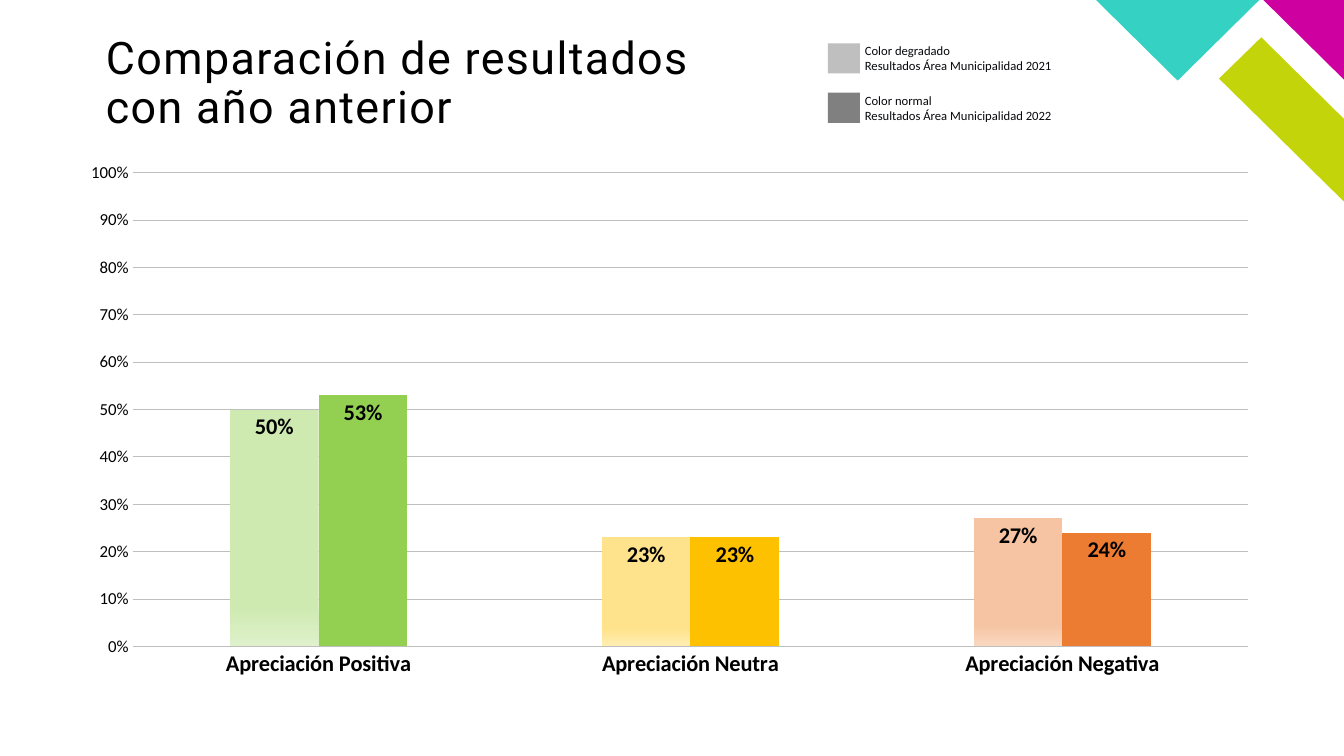
from lxml import etree
from pptx import Presentation
from pptx.chart.data import CategoryChartData
from pptx.dml.color import RGBColor
from pptx.enum.chart import XL_CHART_TYPE, XL_LABEL_POSITION, XL_TICK_MARK
from pptx.enum.shapes import MSO_SHAPE
from pptx.enum.text import MSO_ANCHOR, MSO_AUTO_SIZE
from pptx.oxml.ns import qn
from pptx.util import Inches, Pt

COLUMNS = XL_CHART_TYPE.COLUMN_CLUSTERED
INSIDE_END = XL_LABEL_POSITION.INSIDE_END
NO_TICK = XL_TICK_MARK.NONE
RECTANGLE = MSO_SHAPE.RECTANGLE
TOP = MSO_ANCHOR.TOP
GROW = MSO_AUTO_SIZE.SHAPE_TO_FIT_TEXT

BLACK = RGBColor(0x00, 0x00, 0x00)
INK = RGBColor(0x07, 0x08, 0x0B)
GRID_GRAY = RGBColor(0xBF, 0xBF, 0xBF)
DARK_GRAY = RGBColor(0x80, 0x80, 0x80)
LIME = RGBColor(0xC4, 0xD4, 0x0A)
MAGENTA = RGBColor(0xCE, 0x00, 0x9F)
TURQUOISE = RGBColor(0x35, 0xD2, 0xC4)
SERIES_LIME = RGBColor(0xC3, 0xD6, 0x00)
GREEN = RGBColor(0x93, 0xD0, 0x51)
YELLOW = RGBColor(0xFE, 0xC1, 0x00)
ORANGE = RGBColor(0xEC, 0x7C, 0x31)
FADES = [
    (RGBColor(0xCE, 0xEA, 0xB1), RGBColor(0xDF, 0xF1, 0xCB)),
    (RGBColor(0xFF, 0xE3, 0x8C), RGBColor(0xFF, 0xED, 0xB2)),
    (RGBColor(0xF6, 0xC4, 0xA2), RGBColor(0xF9, 0xD8, 0xC1)),
]
SOLIDS = [GREEN, YELLOW, ORANGE]

CATEGORIES = ["Apreciación Positiva", "Apreciación Neutra", "Apreciación Negativa"]
RESULTS = [
    ("Series 1", (0.5, 0.23, 0.27), TURQUOISE),
    ("Series 2", (0.53, 0.23, 0.24), SERIES_LIME),
]
CORNER_PIECES = [
    (LIME, [(2.47, 2.01), (2.47, 1.19), (1.64, 0.37), (1.22, 0.78)]),
    (MAGENTA, [(2.47, 0.8), (2.47, 0), (1.66, 0)]),
    (TURQUOISE, [(0, 0), (0.81, 0.8), (1.62, 0)]),
]
LEGEND = [
    (GRID_GRAY, "Color degradado", "Resultados Área Municipalidad 2021"),
    (DARK_GRAY, "Color normal", "Resultados Área Municipalidad 2022"),
]


def style_font(font, size, color, name="Calibri", bold=False):
    formats = {"size": Pt(size), "name": name, "bold": bold}
    for attribute, value in formats.items():
        setattr(font, attribute, value)
    font.color.rgb = color


def paint(shape, color):
    shape.shadow.inherit = False
    shape.fill.solid()
    shape.fill.fore_color.rgb = color
    shape.line.fill.background()


def add_corner(slide, left, top):
    for color, points in CORNER_PIECES:
        vertices = [(Inches(left + x), Inches(top + y)) for x, y in points]
        outline = slide.shapes.build_freeform(*vertices[0])
        outline.add_line_segments(vertices[1:], close=True)
        paint(outline.convert_to_shape(), color)


def add_title(slide, left, top, width, height):
    title = slide.shapes.add_textbox(*map(Inches, (left, top, width, height)))
    frame = title.text_frame
    formats = {"word_wrap": True, "vertical_anchor": TOP, "margin_left": 0,
               "margin_right": 0, "margin_top": 0, "margin_bottom": 0}
    for attribute, value in formats.items():
        setattr(frame, attribute, value)
    heading = frame.paragraphs[0]
    heading.line_spacing = 0.9
    words = heading.add_run()
    words.text = "Comparación de resultados con año anterior"
    style_font(words.font, 32, BLACK, "Roboto")
    words.font._element.set("spc", "100")


def add_legend(slide, left, top, width, row_step):
    for row, (color, *lines) in enumerate(LEGEND):
        row_top = top + row * row_step
        swatch = slide.shapes.add_shape(
            RECTANGLE, *map(Inches, (left, row_top + 0.05, 0.32, 0.3)))
        paint(swatch, color)
        caption = slide.shapes.add_textbox(
            *map(Inches, (left + 0.27, row_top, width - 0.27, 0.4)))
        frame = caption.text_frame
        frame.word_wrap = True
        frame.auto_size = GROW
        frame.text = "\n".join(lines)
        for line in frame.paragraphs:
            style_font(line.runs[0].font, 9, INK)


def place_plot(chart, fractions):
    plot_area = chart._chartSpace.chart.plotArea
    for old_layout in plot_area.findall(qn("c:layout")):
        plot_area.remove(old_layout)
    layout = etree.Element(qn("c:layout"))
    manual = etree.SubElement(layout, qn("c:manualLayout"))
    settings = {"layoutTarget": "inner", "xMode": "edge", "yMode": "edge", **fractions}
    for tag, value in settings.items():
        etree.SubElement(manual, qn("c:" + tag)).set("val", str(value))
    plot_area.insert(0, layout)


def style_axes(chart):
    categories, values = chart.category_axis, chart.value_axis
    for axis in (categories, values):
        axis.major_tick_mark = NO_TICK
        axis.minor_tick_mark = NO_TICK
    style_font(categories.tick_labels.font, 16, BLACK, bold=True)
    style_font(values.tick_labels.font, 12, BLACK)
    values.tick_labels.number_format = "0%"
    values.tick_labels.number_format_is_linked = False
    values.minimum_scale, values.maximum_scale, values.major_unit = 0, 1, 0.1
    values.format.line.fill.background()
    values.has_major_gridlines = True
    rules = [(categories.format.line, 0.75), (values.major_gridlines.format.line, 0.5)]
    for line, weight in rules:
        line.width = Pt(weight)
        line.color.rgb = GRID_GRAY


def fill_columns(series_2021, series_2022):
    for index, (fade, solid) in enumerate(zip(FADES, SOLIDS)):
        faded_fill = series_2021.points[index].format.fill
        faded_fill.gradient()
        faded_fill.gradient_angle = 270
        for stop, color, position in zip(faded_fill.gradient_stops, fade, (0.83, 1)):
            stop.color.rgb = color
            stop.position = position
        solid_fill = series_2022.points[index].format.fill
        solid_fill.solid()
        solid_fill.fore_color.rgb = solid


def add_comparison(slide, left, top, width, height):
    data = CategoryChartData(number_format="0%")
    data.categories = CATEGORIES
    for name, values, _ in RESULTS:
        data.add_series(name, values)
    chart = slide.shapes.add_chart(
        COLUMNS, *map(Inches, (left, top, width, height)), data).chart
    chart.has_legend = False
    chart.has_title = False
    style_font(chart.font, 10, BLACK)
    style_axes(chart)
    place_plot(chart, {"x": 0.05, "y": 0.04, "w": 0.93, "h": 0.88})
    plot = chart.plots[0]
    plot.gap_width, plot.overlap, plot.vary_by_categories = 219, 0, False
    label_formats = {"show_value": True, "position": INSIDE_END,
                     "number_format": "0%", "number_format_is_linked": False}
    for series, (_, _, color) in zip(plot.series, RESULTS):
        series.format.fill.solid()
        series.format.fill.fore_color.rgb = color
        for attribute, value in label_formats.items():
            setattr(series.data_labels, attribute, value)
        style_font(series.data_labels.font, 16, BLACK, bold=True)
    fill_columns(*plot.series)


def main():
    deck = Presentation()
    deck.slide_width, deck.slide_height = Inches(13.33), Inches(7.5)
    slide = deck.slides.add_slide(deck.slide_layouts[6])
    add_corner(slide, 10.87, 0)
    add_comparison(slide, 0.72, 1.5, 11.9, 5.34)
    add_legend(slide, 8.21, 0.38, 3.6, 0.49)
    add_title(slide, 1.05, 0.36, 5.92, 1.14)
    deck.save("out.pptx")


if __name__ == "__main__":
    main()
